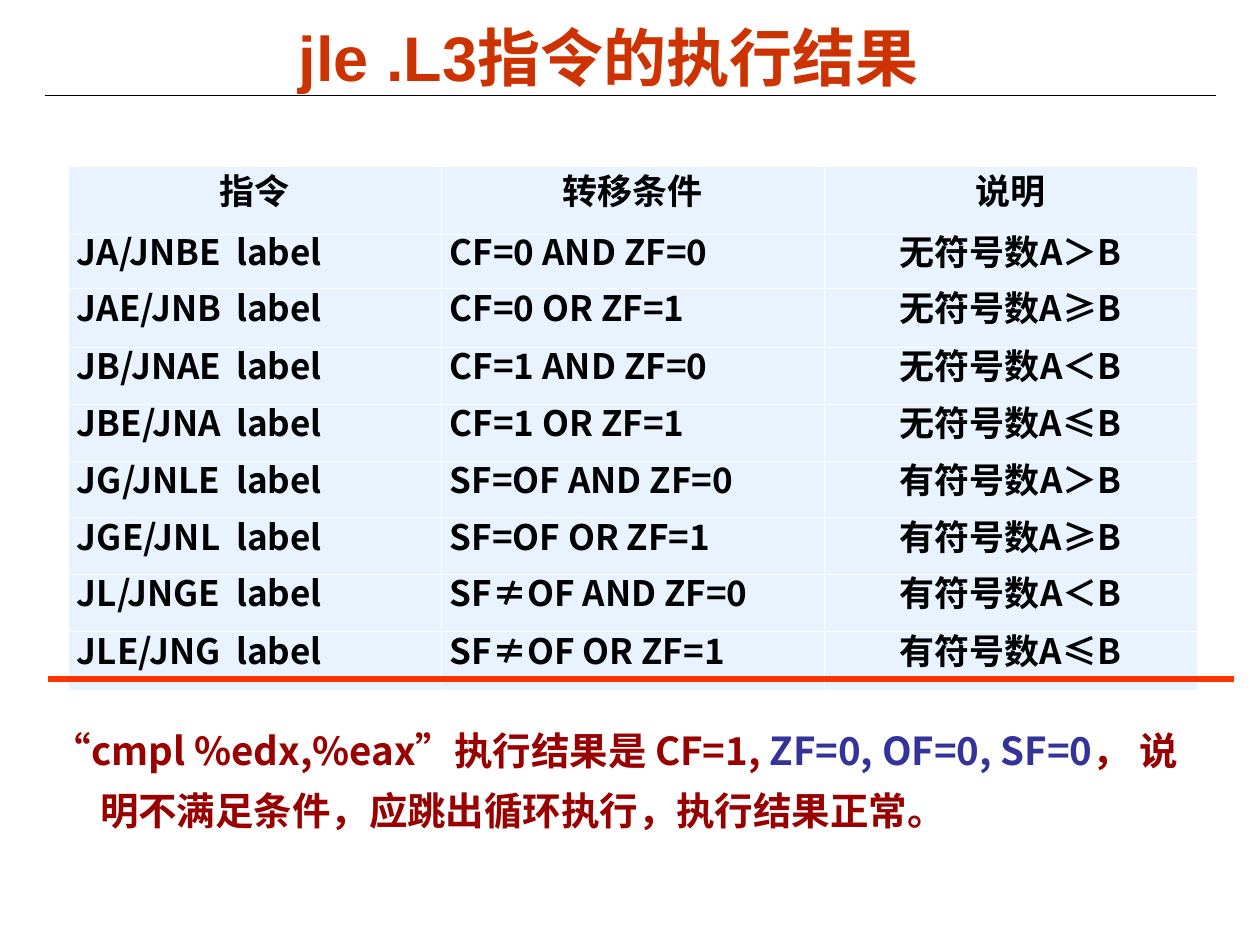
from lxml import etree
from pptx import Presentation
from pptx.dml.color import RGBColor
from pptx.enum import shapes, text
from pptx.oxml import ns
from pptx.util import Pt

CJK = "Noto Sans CJK SC"
BLACK, WHITE, PALE_BLUE = "000000", "FFFFFF", "E8F3FF"
ORANGE, RED, DARK_RED, INDIGO = "CC3300", "FF3300", "990000", "333399"
CENTER, JUSTIFY = text.PP_ALIGN.CENTER, text.PP_ALIGN.JUSTIFY

COLUMN_WIDTHS = [213, 219, 213]
ROW_HEIGHTS = [38.8, 31, 33.8, 32.5, 32.5, 32.4, 32.4, 32.4, 33.8]
HEADINGS = ["指令", "转移条件", "说明"]
JUMPS = [
    ("JA/JNBE", "CF=0 AND ZF=0", "无符号数A＞B"),
    ("JAE/JNB", "CF=0 OR ZF=1", "无符号数A≥B"),
    ("JB/JNAE", "CF=1 AND ZF=0", "无符号数A＜B"),
    ("JBE/JNA", "CF=1 OR ZF=1", "无符号数A≤B"),
    ("JG/JNLE", "SF=OF AND ZF=0", "有符号数A＞B"),
    ("JGE/JNL", "SF=OF OR ZF=1", "有符号数A≥B"),
    ("JL/JNGE", "SF≠OF AND ZF=0", "有符号数A＜B"),
    ("JLE/JNG", "SF≠OF OR ZF=1", "有符号数A≤B"),
]
CONCLUSION = [
    ("“cmpl %edx,%eax”执行结果是 CF=1,", DARK_RED),
    (" ZF=0, OF=0, SF=0", INDIGO),
    ("， 说明不满足条件，应跳出循环执行，执行结果正常。", DARK_RED),
]


def rgb(hex_color):
    return RGBColor.from_string(hex_color)


def add_xml(parent, tag, **attributes):
    return etree.SubElement(parent, ns.qn(tag), **attributes)


class SlideBuilder:
    def __init__(self, slide, label_stop=91):
        self.slide = slide
        self.label_stop = label_stop

    def style(self, paragraph, size, color, name=CJK):
        font = paragraph.font
        font.size, font.bold, font.name = Pt(size), True, name
        font.color.rgb = rgb(color)
        add_xml(paragraph._p.pPr.defRPr, "a:ea", typeface=CJK)

    def title(self, wording, left, top, width, height):
        title = self.slide.shapes.title
        title.left, title.top = Pt(left), Pt(top)
        title.width, title.height = Pt(width), Pt(height)
        title.text_frame.vertical_anchor = text.MSO_ANCHOR.MIDDLE
        heading = title.text_frame.paragraphs[0]
        heading.text = wording
        heading.alignment = CENTER
        self.style(heading, 36, ORANGE, "Arial")

    def rule(self, left, right, y, color, width):
        line = self.slide.shapes.add_connector(
            shapes.MSO_CONNECTOR.STRAIGHT, Pt(left), Pt(y), Pt(right), Pt(y))
        line.line.color.rgb = rgb(color)
        line.line.width = Pt(width)
        add_xml(line._element.spPr, "a:effectLst")

    def cell(self, cell, wording, alignment):
        cell.margin_left = cell.margin_right = Pt(5)
        cell.vertical_anchor = text.MSO_ANCHOR.MIDDLE
        for side in ("a:lnL", "a:lnR", "a:lnT", "a:lnB"):
            border = add_xml(cell._tc.get_or_add_tcPr(), side, w=str(Pt(0.45)))
            add_xml(add_xml(border, "a:solidFill"), "a:srgbClr", val=WHITE)
        cell.fill.solid()
        cell.fill.fore_color.rgb = rgb(PALE_BLUE)
        entry = cell.text_frame.paragraphs[0]
        entry.text = wording
        entry.alignment = alignment
        entry.line_spacing = Pt(16)
        if "\t" in wording:
            stops = add_xml(entry._p.get_or_add_pPr(), "a:tabLst")
            add_xml(stops, "a:tab", pos=str(Pt(self.label_stop)), algn="l")
        self.style(entry, 20, BLACK)

    def table(self, rows, left, top):
        table = self.slide.shapes.add_table(
            len(rows), len(COLUMN_WIDTHS), Pt(left), Pt(top),
            Pt(sum(COLUMN_WIDTHS)), Pt(sum(ROW_HEIGHTS))).table
        for column, width in zip(table.columns, COLUMN_WIDTHS):
            column.width = Pt(width)
        for r, (row, height) in enumerate(zip(rows, ROW_HEIGHTS)):
            table.rows[r].height = Pt(height)
            for c, wording in enumerate(row):
                centered = r == 0 or c == len(row) - 1
                self.cell(table.cell(r, c), wording, CENTER if centered else JUSTIFY)

    def note(self, pieces, left, top, width, height, indent):
        note = self.slide.shapes.add_shape(
            shapes.MSO_SHAPE.RECTANGLE, Pt(left), Pt(top), Pt(width), Pt(height))
        note.shadow.inherit = False
        note.fill.solid()
        note.fill.fore_color.rgb = rgb(WHITE)
        note.line.fill.background()
        frame = note.text_frame
        frame.word_wrap = True
        frame.vertical_anchor = text.MSO_ANCHOR.TOP
        frame.margin_left = frame.margin_right = Pt(5)
        frame.margin_top = frame.margin_bottom = Pt(2.2)
        remark = frame.paragraphs[0]
        remark.alignment = text.PP_ALIGN.LEFT
        remark.line_spacing = 1.3
        hanging = remark._p.get_or_add_pPr()
        hanging.set("marL", str(Pt(indent)))
        hanging.set("indent", str(Pt(-indent)))
        self.style(remark, 22, DARK_RED)
        for wording, color in pieces:
            run = remark.add_run()
            run.text = wording
            run.font.color.rgb = rgb(color)


def main():
    deck = Presentation()
    deck.slide_width, deck.slide_height = Pt(720), Pt(540)
    builder = SlideBuilder(deck.slides.add_slide(deck.slide_layouts[5]))
    builder.rule(25.5, 695, 54.7, BLACK, 0.75)
    builder.title("jle .L3指令的执行结果", 126, 11.5, 443.5, 41.8)
    jump_rows = [(f"{names}\tlabel", test, meaning) for names, test, meaning in JUMPS]
    builder.table([HEADINGS] + jump_rows, 39, 95)
    builder.rule(27.4, 705, 388, RED, 3)
    builder.note(CONCLUSION, 25.2, 405.4, 665.3, 72.7, 27)
    deck.save("out.pptx")


if __name__ == "__main__":
    main()
